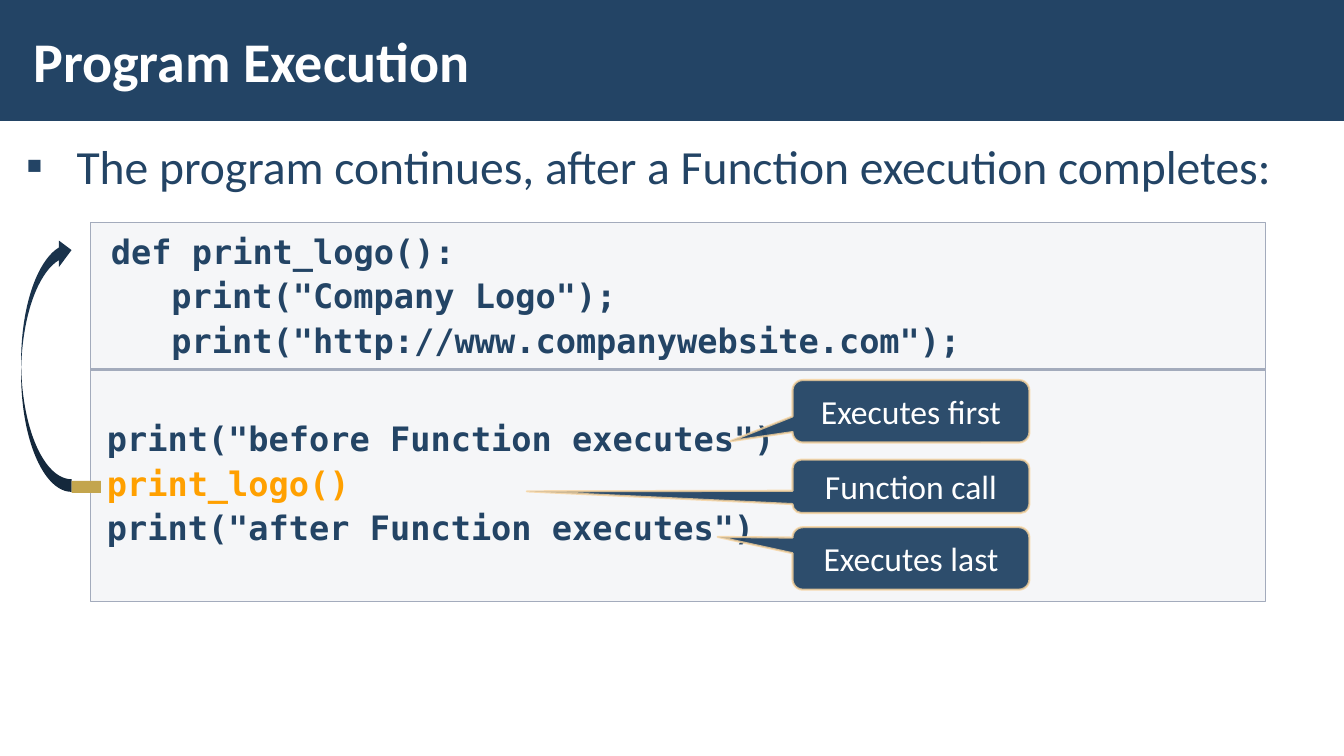
from lxml import etree
from pptx import Presentation
from pptx.dml.color import RGBColor
from pptx.enum.shapes import MSO_SHAPE
from pptx.enum.text import MSO_ANCHOR, MSO_AUTO_SIZE, PP_ALIGN
from pptx.oxml.ns import qn
from pptx.util import Inches, Pt

RECTANGLE = MSO_SHAPE.RECTANGLE
CALLOUT = MSO_SHAPE.ROUNDED_RECTANGULAR_CALLOUT
CURVED_ARROW = MSO_SHAPE.CURVED_RIGHT_ARROW
LEFT, CENTER = PP_ALIGN.LEFT, PP_ALIGN.CENTER
TOP, MIDDLE = MSO_ANCHOR.TOP, MSO_ANCHOR.MIDDLE
NO_RESIZE = MSO_AUTO_SIZE.NONE

WIDTH, HEIGHT = 13.33, 7.5
SANS, MONO = "Calibri", "DejaVu Sans Mono"
NAVY, WHITE, ORANGE = "234465", "FFFFFF", "FFA000"
PANEL, PANEL_EDGE, CALLOUT_EDGE = "C2C7D2", "A3ABBC", "F8D49E"
ARROW, GOLD = "1A334C", "C3A54D"
CODE_INDENT = 0.6
DEFINITION = [
    ("def print_logo():", 0, NAVY),
    ('print("Company Logo");', 1, NAVY),
    ('print("http://www.companywebsite.com");', 1, NAVY),
]
CALLS = [
    ('print("before Function executes")', 0, NAVY),
    ("print_logo()", 0, ORANGE),
    ('print("after Function executes")', 0, NAVY),
]
CALLOUTS = [
    ("Executes first", 3.77, 0.62, (-0.763, 0.48)),
    ("Function call", 4.56, 0.53, (-1.621, 0.095)),
    ("Executes last", 5.23, 0.62, (-0.816, -0.344)),
]


def color(value):
    """Turn a hex string into a colour."""
    return RGBColor.from_string(value)


def inches(box):
    """Turn a box of numbers into lengths."""
    return [Inches(length) for length in box]


def set_alpha(color_format_owner, percent):
    """Set the opacity of the solid fill inside an element."""
    tint = color_format_owner.find(qn("a:solidFill"))[0]
    etree.SubElement(tint, qn("a:alpha")).set("val", str(percent * 1000))


def add_block(page, kind, box, fill, opacity=100, edge=None, edge_width=1):
    """Add a flat shape with an optional outline."""
    block = page.shapes.add_shape(kind, *inches(box))
    block.shadow.inherit = False
    block.fill.solid()
    block.fill.fore_color.rgb = color(fill)
    if opacity < 100:
        set_alpha(block._element.spPr, opacity)
    if edge:
        block.line.color.rgb = color(edge)
        block.line.width = Pt(edge_width)
    else:
        block.line.fill.background()
    return block


def set_frame(frame, insets, anchor):
    """Set the margins, wrapping and anchor of a text frame."""
    frame.word_wrap = True
    frame.auto_size = NO_RESIZE
    frame.vertical_anchor = anchor
    (frame.margin_left, frame.margin_top,
     frame.margin_right, frame.margin_bottom) = inches(insets)


def format_para(para, size, font, tint, bold=False, align=LEFT):
    """Format a paragraph and its runs."""
    para.alignment = align
    for span in para.runs:
        span.font.size = Pt(size)
        span.font.name = font
        span.font.bold = bold
        span.font.color.rgb = color(tint)


def add_header(page, box):
    """Place the banner and the title over it."""
    left, top, width, height = box
    add_block(page, RECTANGLE, box, NAVY)
    title = page.shapes.title
    page.shapes._spTree.append(title._element)
    title.left, title.top, title.width, title.height = inches(
        (left + 0.21, top + 0.11, 10.39, height - 0.23))
    title.text_frame.text = "Program Execution"
    set_frame(title.text_frame, (0.12, 0.04, 0.12, 0.04), MIDDLE)
    format_para(title.text_frame.paragraphs[0], 40, SANS, WHITE, bold=True)


def add_statement(page, box):
    """Place the bulleted statement."""
    frame = page.shapes.add_textbox(*inches(box)).text_frame
    set_frame(frame, (0.12, 0.04, 0.12, 0.04), TOP)
    frame.text = "The program continues, after a Function execution completes:"
    para = frame.paragraphs[0]
    format_para(para, 34, SANS, NAVY)
    para.line_spacing = 1.05
    para.space_before = para.space_after = Pt(6)
    settings = para._p.get_or_add_pPr()
    settings.set("marL", str(Inches(0.5)))
    settings.set("indent", str(-Inches(0.5)))
    etree.SubElement(settings, qn("a:buFont")).set("typeface", "Wingdings")
    etree.SubElement(settings, qn("a:buChar")).set("char", "▪")
    settings.find(qn("a:buFont")).set("typeface", SANS)


def add_code(page, box, lines, insets):
    """Place a panel of code lines."""
    panel = add_block(page, RECTANGLE, box, PANEL, 15, PANEL_EDGE)
    frame = panel.text_frame
    set_frame(frame, insets, TOP)
    frame.text = "\n".join(text for text, level, tint in lines)
    for para, (text, level, tint) in zip(frame.paragraphs, lines):
        format_para(para, 24, MONO, tint, bold=True)
        para.line_spacing = 1.1
        para._p.get_or_add_pPr().set("marL", str(Inches(level * CODE_INDENT)))


def add_callout(page, box, text, tip):
    """Place a callout whose tip points at a code line."""
    callout = add_block(page, CALLOUT, box, NAVY, 95, CALLOUT_EDGE, 1.5)
    set_alpha(callout.line._ln, 80)
    for index, share in enumerate((*tip, 0.167)):
        callout.adjustments[index] = share
    set_frame(callout.text_frame, (0.1, 0.05, 0.1, 0.05), MIDDLE)
    callout.text_frame.text = text
    format_para(callout.text_frame.paragraphs[0], 24, SANS, WHITE, align=CENTER)


def add_jump(page, box):
    """Place the curved arrow from the call up to the definition."""
    left, top, width, height = box
    arrow = add_block(page, CURVED_ARROW, box, ARROW)
    for index, share in enumerate((0.25, 0.525, 0.25)):
        arrow.adjustments[index] = share
    arrow._element.spPr.find(qn("a:xfrm")).set("flipV", "1")
    add_block(page, RECTANGLE, (left + width, top + height - 0.11, 0.29, 0.12), GOLD)


def main():
    """Build and save the slide."""
    deck = Presentation()
    deck.slide_width, deck.slide_height = inches((WIDTH, HEIGHT))
    page = deck.slides.add_slide(deck.slide_layouts[5])
    add_header(page, (0, 0, WIDTH, 0.16 * HEIGHT))
    add_code(page, (0.9, 2.21, 11.65, 1.45), DEFINITION, (0.2, 0.04, 0.2, 0.08))
    add_code(page, (0.9, 3.67, 11.65, 2.3), CALLS, (0.16, 0.44, 0.16, 0.04))
    add_statement(page, (0.14, 1.29, 13.04, 0.85))
    for text, top, height, tip in CALLOUTS:
        add_callout(page, (7.86, top, 2.35, height), text, tip)
    add_jump(page, (0.21, 2.35, 0.5, 2.53))
    deck.save("out.pptx")


if __name__ == "__main__":
    main()
